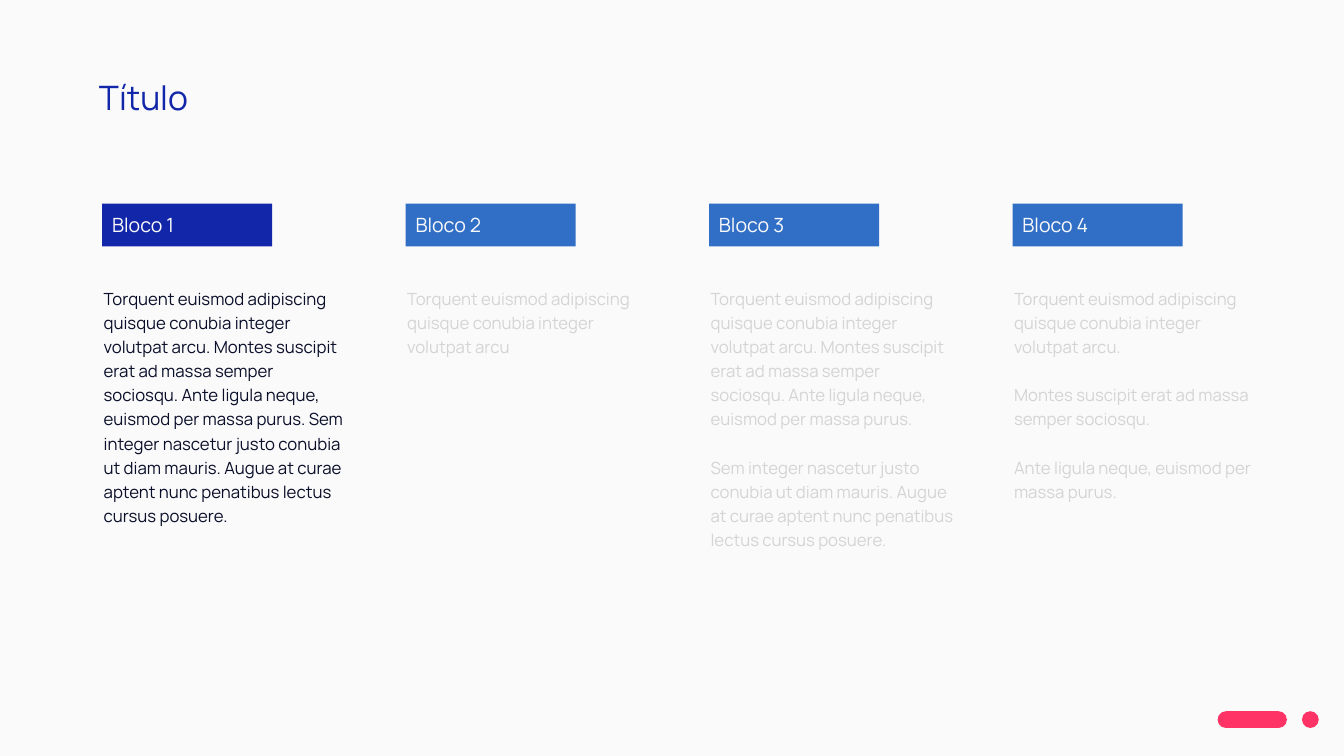
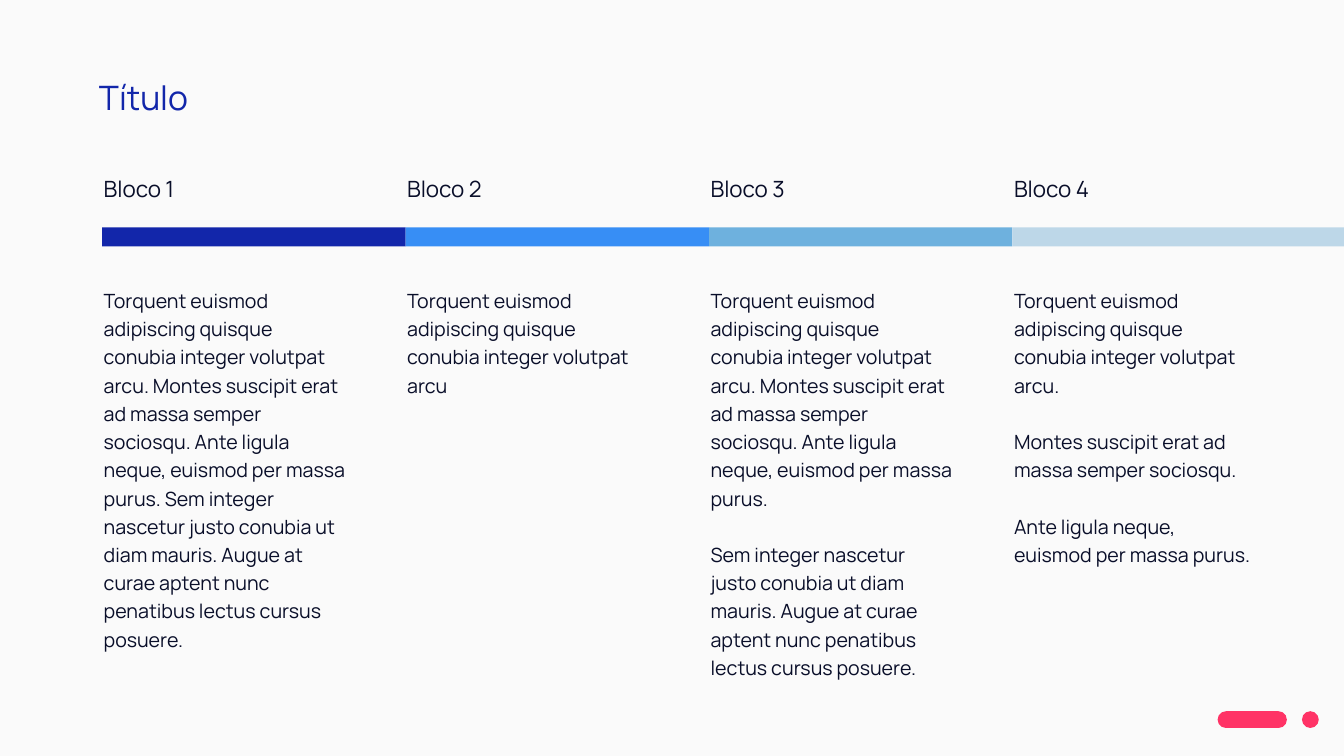
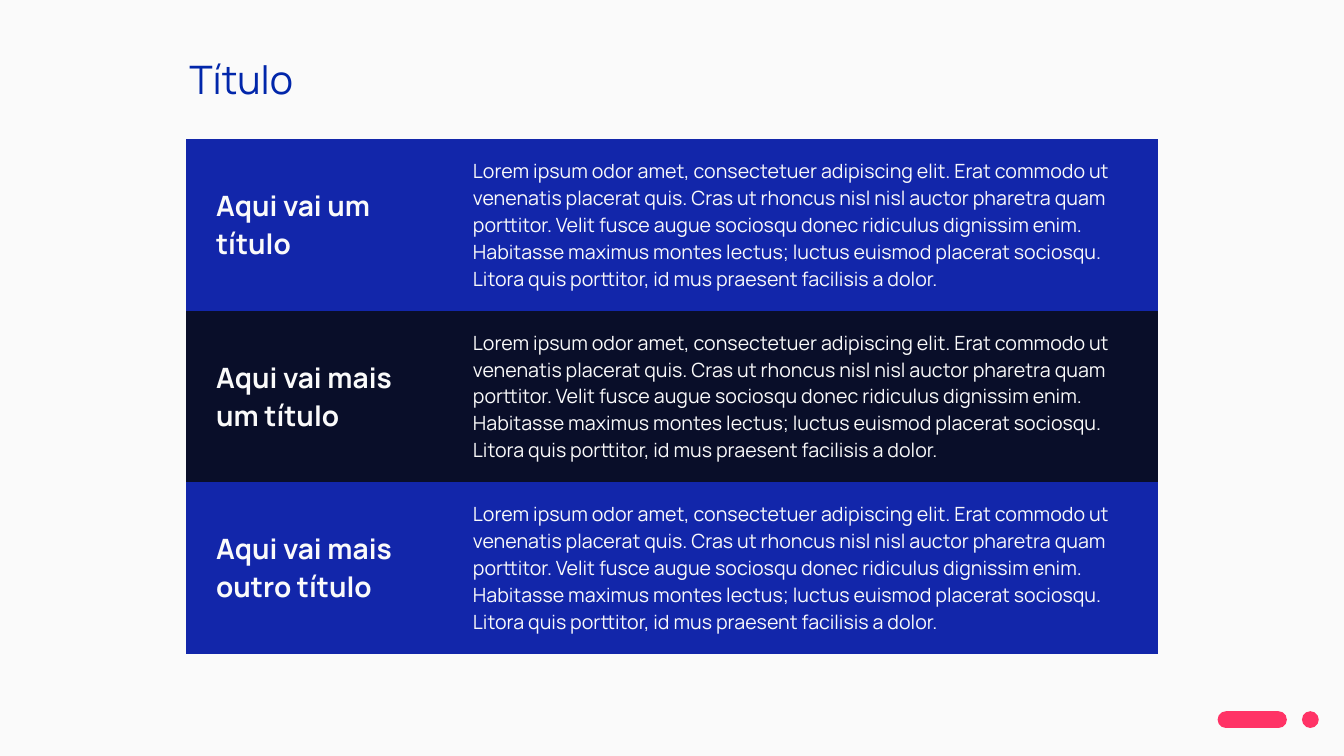
from dataclasses import dataclass

from lxml.etree import _Element
from pptx import Presentation
from pptx.dml.color import RGBColor
from pptx.enum.shapes import MSO_SHAPE
from pptx.enum.text import MSO_ANCHOR, MSO_AUTO_SIZE, PP_ALIGN
from pptx.oxml.ns import qn
from pptx.presentation import Presentation as Deck
from pptx.shapes.autoshape import Shape
from pptx.slide import Slide
from pptx.text.text import TextFrame
from pptx.util import Pt

FONT = "Manrope"
PAPER = "FAFAFA"
NAVY = "1226AA"
TITLE_NAVY = "0126AA"
INK = "090E29"
BLUE = "316FC6"
PINK = "FF3366"
FADED = "D4D4D4"
BAR_COLORS = (NAVY, "378EF5", "6EB1DE", "BDD7E8")
PLAIN_TABLE_STYLE = "{2D5ABB26-0587-4C30-8999-92F81FD0307C}"

SLIDE_WIDTH = 960
SLIDE_HEIGHT = 540
COLUMN_STEP = 216.75
TEXT_LEFT = 67
BAR_LEFT = 73
TEXT_WIDTH = 188
BODY_TOP = 199.5
LINE_SPACING = 1.2
BLANK_LINE = 1.44


@dataclass(frozen=True)
class Box:
    left: float
    top: float
    width: float
    height: float

    def lengths(self) -> tuple[Pt, Pt, Pt, Pt]:
        return Pt(self.left), Pt(self.top), Pt(self.width), Pt(self.height)


@dataclass(frozen=True)
class TextStyle:
    size: float
    color: str
    bold: bool = False
    line_spacing: float = 1.0
    gap: float = 0


@dataclass(frozen=True)
class Block:
    label: str
    paragraphs: tuple[str, ...]
    small_height: float
    large_height: float


@dataclass(frozen=True)
class TableRow:
    heading: str
    color: str


OPENING = "Torquent euismod adipiscing quisque conubia integer volutpat arcu"
MONTES = "Montes suscipit erat ad massa semper sociosqu."
ANTE = "Ante ligula neque, euismod per massa purus."
SEM = (
    "Sem integer nascetur justo conubia ut diam mauris. "
    "Augue at curae aptent nunc penatibus lectus cursus posuere."
)
BLOCKS = (
    Block("Bloco 1", (f"{OPENING}. {MONTES} {ANTE} {SEM}",), 216, 271),
    Block("Bloco 2", (OPENING,), 58, 88),
    Block("Bloco 3", (f"{OPENING}. {MONTES} {ANTE}", SEM), 233, 291),
    Block("Bloco 4", (f"{OPENING}.", MONTES, ANTE), 163.5, 250.5),
)
TABLE_TEXT = (
    "Lorem ipsum odor amet, consectetuer adipiscing elit. Erat commodo ut "
    "venenatis placerat quis. Cras ut rhoncus nisl nisl auctor pharetra quam "
    "porttitor. Velit fusce augue sociosqu donec ridiculus dignissim enim. "
    "Habitasse maximus montes lectus; luctus euismod placerat sociosqu. "
    "Litora quis porttitor, id mus praesent facilisis a dolor."
)
TABLE_ROWS = (
    TableRow("Aqui vai um título", NAVY),
    TableRow("Aqui vai mais um título", INK),
    TableRow("Aqui vai mais outro título", NAVY),
)
TABLE_COLUMNS = (183.5, 511)
TABLE_ROW_HEIGHT = 122.6


def color_of(value: str) -> RGBColor:
    return RGBColor.from_string(value)


def apply_format(target: object, values: dict[str, object]) -> None:
    for name, value in values.items():
        setattr(target, name, value)


def write_text(frame: TextFrame, texts: tuple[str, ...], style: TextStyle) -> None:
    for index, text in enumerate(texts):
        paragraph = frame.add_paragraph() if index else frame.paragraphs[0]
        apply_format(
            paragraph,
            {
                "alignment": PP_ALIGN.LEFT,
                "line_spacing": style.line_spacing,
                "space_before": Pt(style.gap if index else 0),
            },
        )
        run = paragraph.add_run()
        run.text = text
        apply_format(
            run.font, {"name": FONT, "size": Pt(style.size), "bold": style.bold}
        )
        run.font.color.rgb = color_of(style.color)


def add_text(slide: Slide, box: Box, texts: tuple[str, ...], style: TextStyle) -> None:
    frame = slide.shapes.add_textbox(*box.lengths()).text_frame
    apply_format(frame, {"word_wrap": True, "auto_size": MSO_AUTO_SIZE.NONE})
    write_text(frame, texts, style)


def add_filled_shape(
    slide: Slide, box: Box, color: str, kind: MSO_SHAPE = MSO_SHAPE.RECTANGLE
) -> Shape:
    shape = slide.shapes.add_shape(kind, *box.lengths())
    shape.shadow.inherit = False
    shape.fill.solid()
    shape.fill.fore_color.rgb = color_of(color)
    shape.line.fill.background()
    return shape


def add_slide(presentation: Deck, box: Box, size: float, color: str) -> Slide:
    slide = presentation.slides.add_slide(presentation.slide_layouts[5])
    title = slide.shapes.title
    left, top, width, height = box.lengths()
    apply_format(title, {"left": left, "top": top, "width": width, "height": height})
    margins = ("margin_left", "margin_top", "margin_right", "margin_bottom")
    apply_format(title.text_frame, dict.fromkeys(margins, Pt(7.2)))
    apply_format(
        title.text_frame,
        {
            "word_wrap": True,
            "auto_size": MSO_AUTO_SIZE.NONE,
            "vertical_anchor": MSO_ANCHOR.TOP,
        },
    )
    write_text(title.text_frame, ("Título",), TextStyle(size, color))
    return slide


def add_footer_to_layout(slide: Slide) -> None:
    layout_tree: _Element = slide.slide_layout.shapes.element
    for left, width in ((869.75, 49.5), (930, 12)):
        pill = add_filled_shape(
            slide, Box(left, 508, width, 12), PINK, MSO_SHAPE.ROUNDED_RECTANGLE
        )
        pill.adjustments[0] = 0.5
        layout_tree.append(pill.element)


def add_body(slide: Slide, column: int, height: float, size: float, color: str) -> None:
    box = Box(TEXT_LEFT + column * COLUMN_STEP, BODY_TOP, TEXT_WIDTH, height)
    style = TextStyle(
        size, color, line_spacing=LINE_SPACING, gap=round(size * BLANK_LINE, 1)
    )
    add_text(slide, box, BLOCKS[column].paragraphs, style)


def fill_highlight_slide(slide: Slide) -> None:
    for column, block in enumerate(BLOCKS):
        active = column == 0
        box = Box(BAR_LEFT + column * COLUMN_STEP, 145.5, 121.5, 30.5)
        label = add_filled_shape(slide, box, NAVY if active else BLUE)
        label.text_frame.vertical_anchor = MSO_ANCHOR.MIDDLE
        write_text(label.text_frame, (block.label,), TextStyle(14, PAPER))
        add_body(slide, column, block.small_height, 12, INK if active else FADED)


def fill_timeline_slide(slide: Slide) -> None:
    for column, (block, color) in enumerate(zip(BLOCKS, BAR_COLORS)):
        left = BAR_LEFT + column * COLUMN_STEP
        is_last = column == len(BLOCKS) - 1
        width = SLIDE_WIDTH - left if is_last else COLUMN_STEP
        add_filled_shape(slide, Box(left, 162.5, width, 13.5), color)
        label_box = Box(TEXT_LEFT + column * COLUMN_STEP, 121.5, TEXT_WIDTH, 27)
        add_text(slide, label_box, (block.label,), TextStyle(16, INK))
        add_body(slide, column, block.large_height, 14, INK)


def fill_table_slide(slide: Slide) -> None:
    box = Box(132.75, 99.25, sum(TABLE_COLUMNS), TABLE_ROW_HEIGHT * len(TABLE_ROWS))
    graphic_frame = slide.shapes.add_table(
        len(TABLE_ROWS), len(TABLE_COLUMNS), *box.lengths()
    )
    style_id = graphic_frame.element.find(f".//{qn('a:tableStyleId')}")
    style_id.text = PLAIN_TABLE_STYLE
    table = graphic_frame.table
    apply_format(table, {"first_row": False, "horz_banding": False})
    for column, width in zip(table.columns, TABLE_COLUMNS):
        column.width = Pt(width)
    styles = (TextStyle(20, PAPER, bold=True), TextStyle(14, PAPER))
    for row, content in zip(table.rows, TABLE_ROWS):
        row.height = Pt(TABLE_ROW_HEIGHT)
        for cell, text, style in zip(row.cells, (content.heading, TABLE_TEXT), styles):
            apply_format(
                cell,
                {"vertical_anchor": MSO_ANCHOR.MIDDLE, "margin_left": Pt(21.6)},
            )
            cell.fill.solid()
            cell.fill.fore_color.rgb = color_of(content.color)
            write_text(cell.text_frame, (text,), style)


def main() -> None:
    presentation = Presentation()
    apply_format(
        presentation,
        {"slide_width": Pt(SLIDE_WIDTH), "slide_height": Pt(SLIDE_HEIGHT)},
    )
    background = presentation.slide_master.background.fill
    background.solid()
    background.fore_color.rgb = color_of(PAPER)

    column_title = Box(63.5, 47.5, 510.5, 44)
    highlight_slide = add_slide(presentation, column_title, 24, NAVY)
    add_footer_to_layout(highlight_slide)
    fill_highlight_slide(highlight_slide)
    fill_timeline_slide(add_slide(presentation, column_title, 24, NAVY))
    table_title = Box(128, 32.5, 381, 48)
    fill_table_slide(add_slide(presentation, table_title, 28, TITLE_NAVY))
    presentation.save("out.pptx")


if __name__ == "__main__":
    main()
